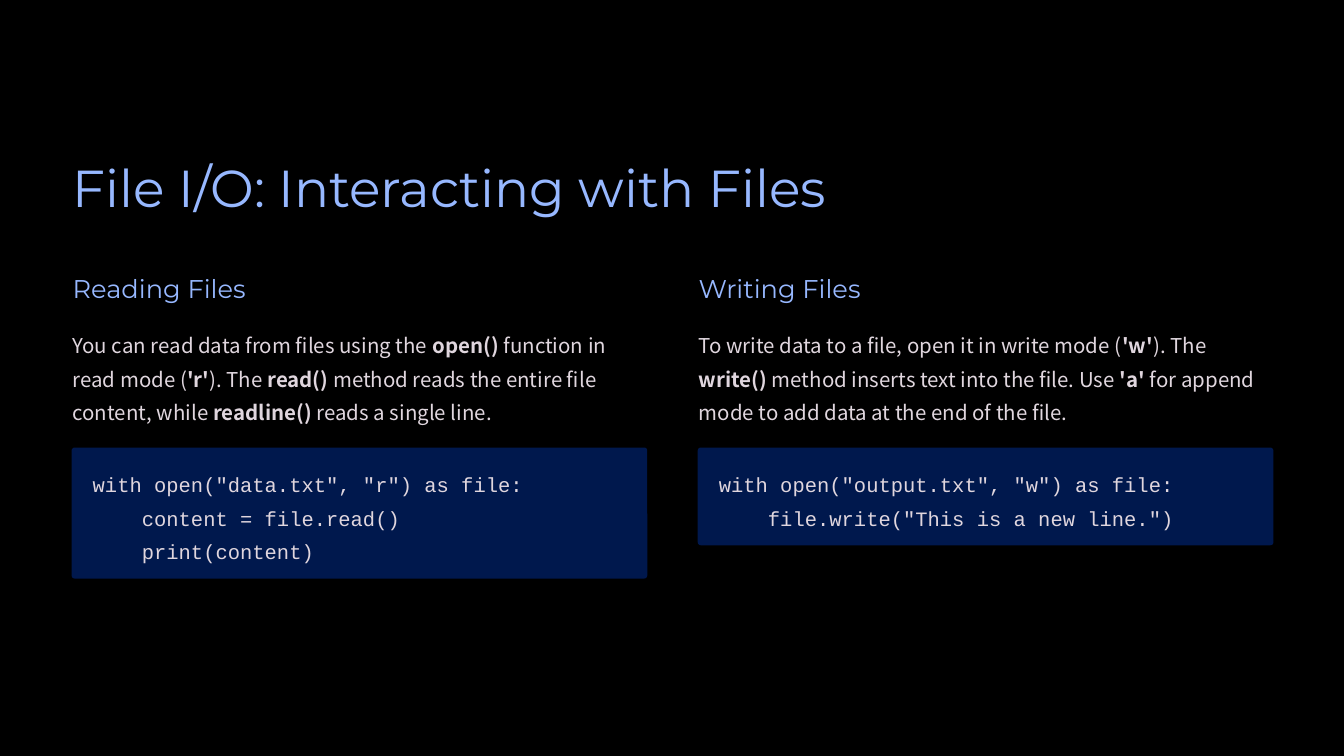
import pptx
import pptx.dml.color
import pptx.enum.shapes
import pptx.enum.text
import pptx.util
from pptx.util import Inches

BLACK = pptx.dml.color.RGBColor(0x00, 0x00, 0x00)
LIGHT_BLUE = pptx.dml.color.RGBColor(0x97, 0xB8, 0xFF)
PALE_GREY = pptx.dml.color.RGBColor(0xE0, 0xD6, 0xDE)
NAVY = pptx.dml.color.RGBColor(0x00, 0x18, 0x4D)

HEADING_FONT = "Montserrat"
BODY_FONT = "Noto Sans CJK TC"
CODE_FONT = "Courier New"

LINE_HEIGHT = 0.33
CORNER_RADIUS = 0.03

presentation = pptx.Presentation()
presentation.slide_width = Inches(13.33)
presentation.slide_height = Inches(7.5)
slide = presentation.slides.add_slide(presentation.slide_layouts[6])
slide.background.fill.solid()
slide.background.fill.fore_color.rgb = BLACK


def add_text(text, *, left, top, width, height, font, size, color, spacing, wrap=True):
    """Add a text box; parts between double asterisks are bold."""
    box = slide.shapes.add_textbox(Inches(left), Inches(top), Inches(width), Inches(height))
    frame = box.text_frame
    frame.margin_left = frame.margin_top = frame.margin_right = frame.margin_bottom = 0
    frame.word_wrap = wrap
    frame.vertical_anchor = pptx.enum.text.MSO_ANCHOR.TOP
    for index, line in enumerate(text.split("\n")):
        paragraph = frame.add_paragraph() if index else frame.paragraphs[0]
        paragraph.line_spacing = pptx.util.Pt(spacing)
        for position, part in enumerate(line.split("**")):
            run = paragraph.add_run()
            run.text = part
            run.font.name = font
            run.font.size = pptx.util.Pt(size)
            run.font.color.rgb = color
            run.font.bold = position % 2 == 1


# Title
add_text("File I/O: Interacting with Files", left=0.72, top=1.52, width=7.62, height=0.65,
         font=HEADING_FONT, size=37.1, color=LIGHT_BLUE, spacing=46.2, wrap=False)

# Columns: left edge, heading, explanation, code
columns = [
    (0.72, "Reading Files",
     "You can read data from files using the **open()** function in read mode (**'r'**). "
     "The **read()** method reads the entire file content, "
     "while **readline()** reads a single line.",
     'with open("data.txt", "r") as file:\n'
     "    content = file.read()\n"
     "    print(content)"),
    (6.93, "Writing Files",
     "To write data to a file, open it in write mode (**'w'**). "
     "The **write()** method inserts text into the file. "
     "Use **'a'** for append mode to add data at the end of the file.",
     'with open("output.txt", "w") as file:\n'
     '    file.write("This is a new line.")'),
]

for left, heading, explanation, code in columns:
    add_text(heading, left=left, top=2.69, width=2.58, height=0.32,
             font=HEADING_FONT, size=18.3, color=LIGHT_BLUE, spacing=22.9, wrap=False)
    add_text(explanation, left=left, top=3.22, width=5.69, height=3 * LINE_HEIGHT,
             font=BODY_FONT, size=14.6, color=PALE_GREY, spacing=23.8)

    # Code panel, as tall as its lines
    code_height = LINE_HEIGHT * len(code.split("\n"))
    panel_height = code_height + 0.31
    panel = slide.shapes.add_shape(
        pptx.enum.shapes.MSO_SHAPE.ROUNDED_RECTANGLE,
        Inches(left - 0.01), Inches(4.44), Inches(5.71), Inches(panel_height))
    panel.adjustments[0] = CORNER_RADIUS / panel_height
    panel.shadow.inherit = False
    panel.fill.solid()
    panel.fill.fore_color.rgb = NAVY
    panel.line.fill.background()
    add_text(code, left=left + 0.2, top=4.6, width=5.3, height=code_height,
             font=CODE_FONT, size=14.6, color=PALE_GREY, spacing=23.8)

presentation.save("out.pptx")
